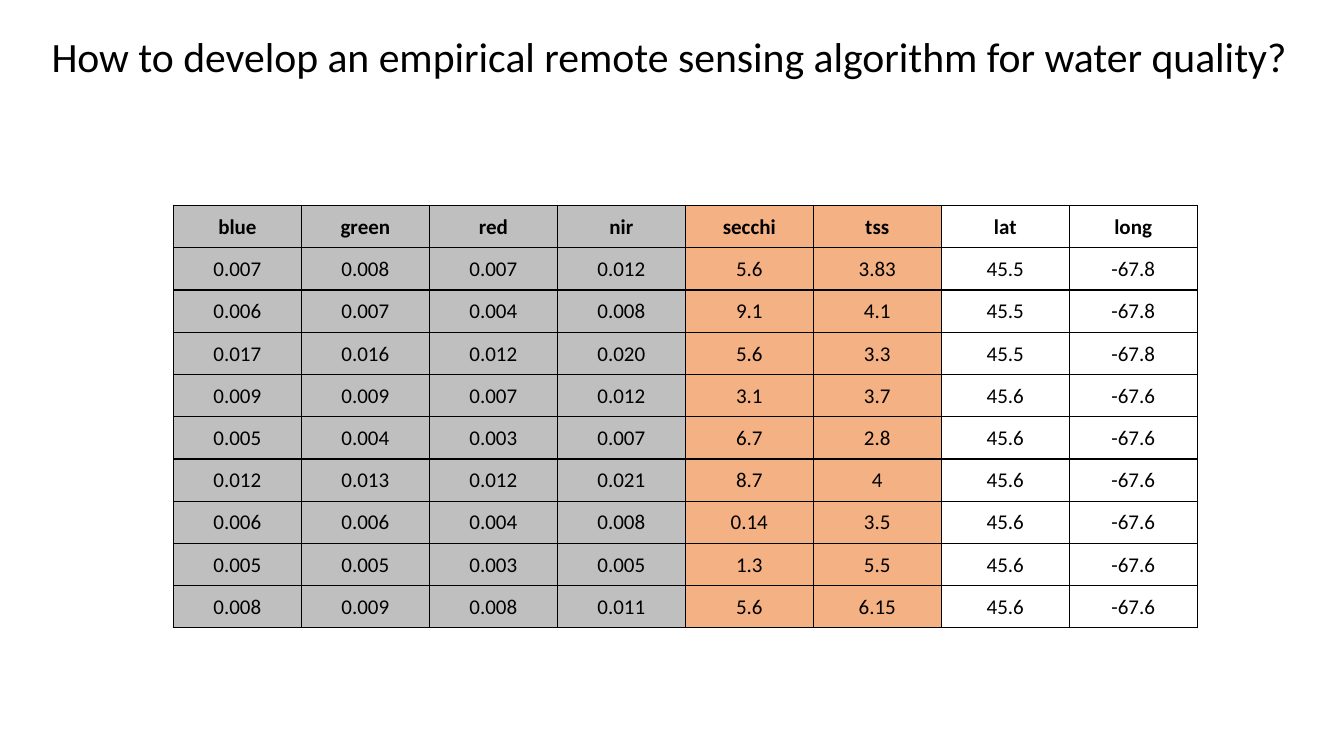
from lxml import etree
from pptx import Presentation
from pptx.dml.color import RGBColor
from pptx.enum.text import MSO_ANCHOR, MSO_AUTO_SIZE, PP_ALIGN
from pptx.oxml.ns import qn
from pptx.util import Cm, Pt

CENTER = PP_ALIGN.CENTER
MIDDLE = MSO_ANCHOR.MIDDLE
BOTTOM = MSO_ANCHOR.BOTTOM
NO_AUTOFIT = MSO_AUTO_SIZE.NONE
TITLE_ONLY_LAYOUT = 5

BAND_FILL = "BFBFBF"
MEASUREMENT_FILL = "F4B183"
COLUMNS = [
    ("blue", BAND_FILL),
    ("green", BAND_FILL),
    ("red", BAND_FILL),
    ("nir", BAND_FILL),
    ("secchi", MEASUREMENT_FILL),
    ("tss", MEASUREMENT_FILL),
    ("lat", None),
    ("long", None),
]
SAMPLES = [
    ["0.007", "0.008", "0.007", "0.012", "5.6", "3.83", "45.5", "-67.8"],
    ["0.006", "0.007", "0.004", "0.008", "9.1", "4.1", "45.5", "-67.8"],
    ["0.017", "0.016", "0.012", "0.020", "5.6", "3.3", "45.5", "-67.8"],
    ["0.009", "0.009", "0.007", "0.012", "3.1", "3.7", "45.6", "-67.6"],
    ["0.005", "0.004", "0.003", "0.007", "6.7", "2.8", "45.6", "-67.6"],
    ["0.012", "0.013", "0.012", "0.021", "8.7", "4", "45.6", "-67.6"],
    ["0.006", "0.006", "0.004", "0.008", "0.14", "3.5", "45.6", "-67.6"],
    ["0.005", "0.005", "0.003", "0.005", "1.3", "5.5", "45.6", "-67.6"],
    ["0.008", "0.009", "0.008", "0.011", "5.6", "6.15", "45.6", "-67.6"],
]


def color(hex_string):
    return RGBColor.from_string(hex_string)


class SlideBuilder:
    font_name = "Calibri"
    ink = "000000"
    title_size = 29.8
    table_size = 15
    border_width = 1

    def __init__(self, page):
        self.page = page

    def add_text(self, frame, text, size, bold=False):
        para = frame.paragraphs[0]
        para.alignment = CENTER
        span = para.add_run()
        span.text = text
        span.font.name = self.font_name
        span.font.size = Pt(size)
        span.font.bold = bold
        span.font.color.rgb = color(self.ink)

    def title(self, text, left, top, width, height):
        box = self.page.shapes.title
        box.left, box.top = Cm(left), Cm(top)
        box.width, box.height = Cm(width), Cm(height)
        frame = box.text_frame
        frame.auto_size = NO_AUTOFIT
        frame.word_wrap = True
        frame.vertical_anchor = BOTTOM
        self.add_text(frame, text, self.title_size)

    def outline(self, cell):
        properties = cell._tc.get_or_add_tcPr()
        for side in ("a:lnL", "a:lnR", "a:lnT", "a:lnB"):
            line = etree.SubElement(properties, qn(side), w=str(Pt(self.border_width)))
            fill = etree.SubElement(line, qn("a:solidFill"))
            etree.SubElement(fill, qn("a:srgbClr"), val=self.ink)

    def table(self, columns, samples, left, top, width, height):
        """Draw a header row and sample rows, each column in its own fill."""
        rows = [[name for name, _ in columns]] + samples
        grid = self.page.shapes.add_table(
            len(rows), len(columns), Cm(left), Cm(top), Cm(width), Cm(height)
        ).table
        grid.horz_banding = False
        for row_index, row in enumerate(rows):
            for column_index, text in enumerate(row):
                cell = grid.cell(row_index, column_index)
                cell.vertical_anchor = MIDDLE
                cell.margin_left = cell.margin_right = cell.margin_top = Cm(0.03)
                cell.margin_bottom = 0
                self.outline(cell)
                fill = columns[column_index][1]
                if fill:
                    cell.fill.solid()
                    cell.fill.fore_color.rgb = color(fill)
                else:
                    cell.fill.background()
                self.add_text(cell.text_frame, text, self.table_size, row_index == 0)


def main():
    deck = Presentation()
    deck.slide_width, deck.slide_height = Cm(33.87), Cm(19.05)
    page = deck.slides.add_slide(deck.slide_layouts[TITLE_ONLY_LAYOUT])
    builder = SlideBuilder(page)
    builder.title(
        "How to develop an empirical remote sensing algorithm for water quality?",
        0.69, 0.64, 32.36, 1.52,
    )
    builder.table(COLUMNS, SAMPLES, 4.37, 5.18, 25.8, 10.64)
    deck.save("out.pptx")


if __name__ == "__main__":
    main()
